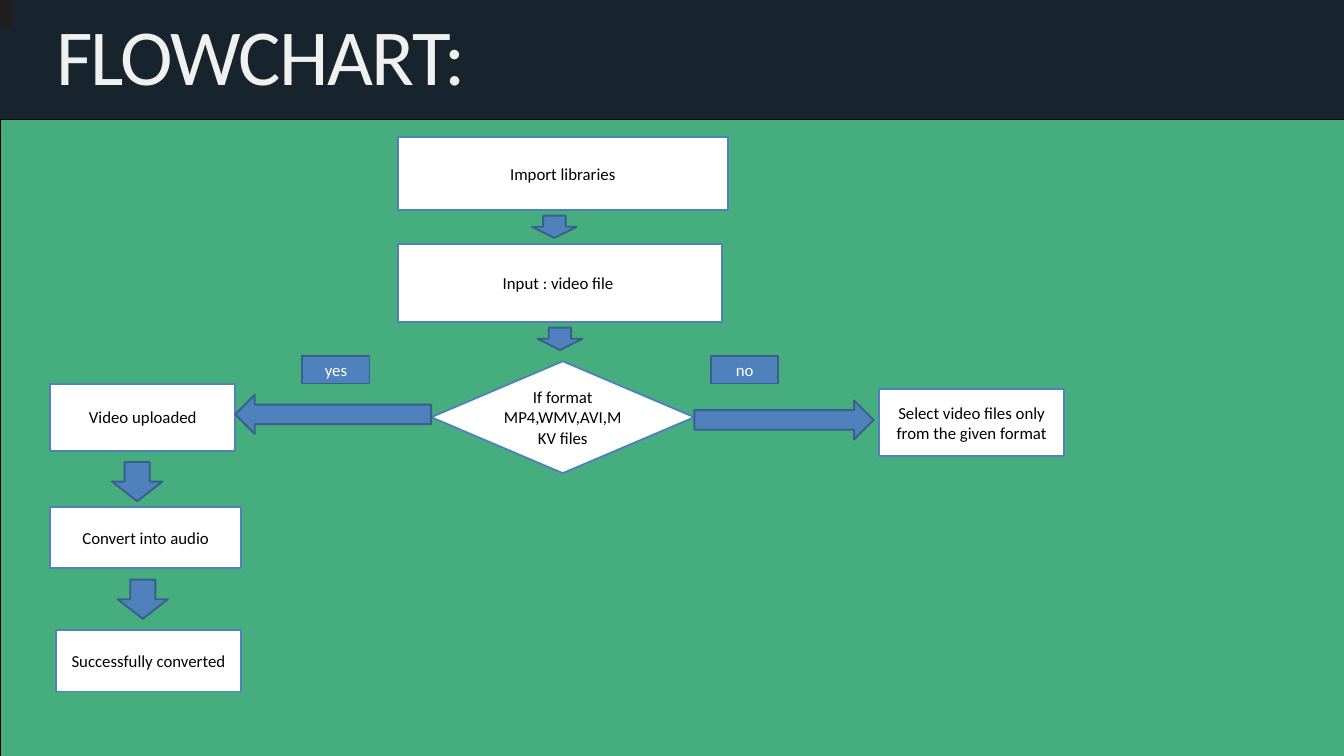
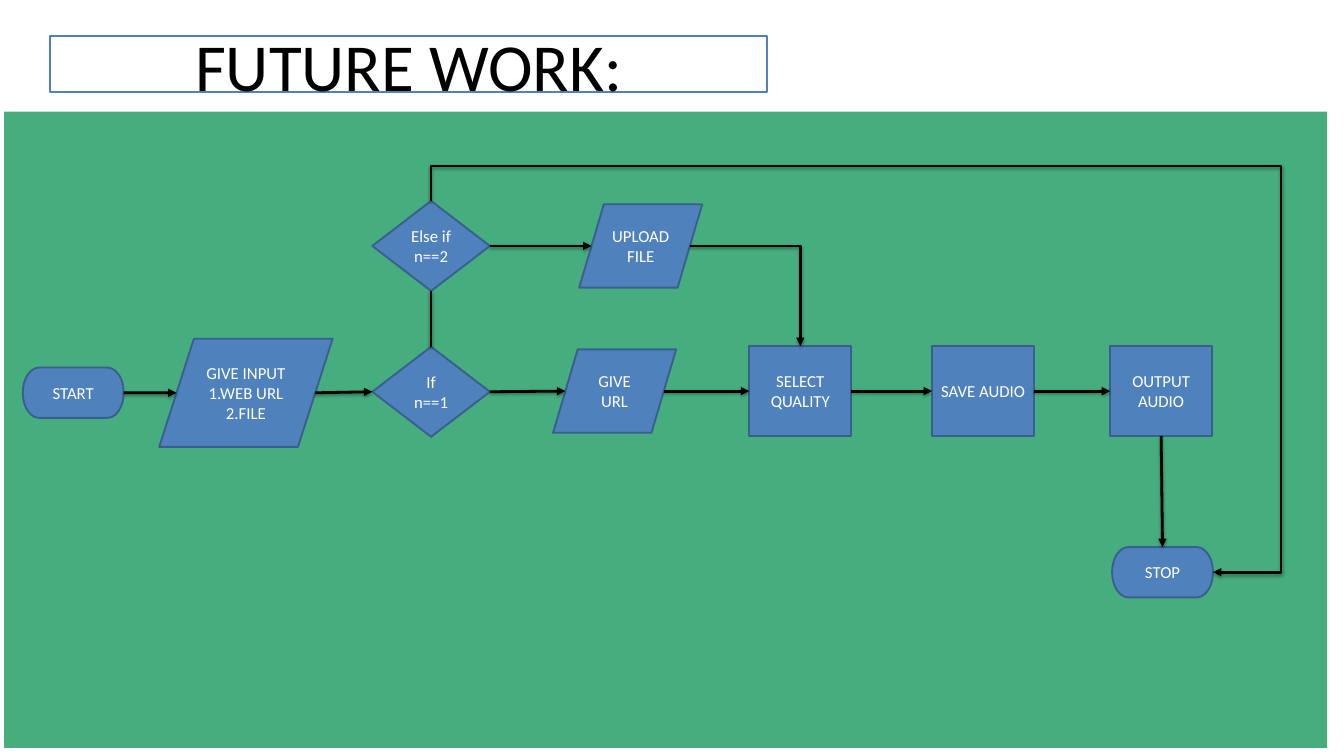
from lxml import etree
from pptx import Presentation
from pptx.dml.color import RGBColor
from pptx.enum.shapes import MSO_CONNECTOR, MSO_SHAPE
from pptx.enum.text import MSO_ANCHOR, MSO_AUTO_SIZE, PP_ALIGN
from pptx.oxml import parse_xml
from pptx.oxml.ns import nsdecls, qn
from pptx.util import Pt

RECT, DIAMOND = MSO_SHAPE.RECTANGLE, MSO_SHAPE.DIAMOND
DOWN, LEFT, RIGHT = MSO_SHAPE.DOWN_ARROW, MSO_SHAPE.LEFT_ARROW, MSO_SHAPE.RIGHT_ARROW
DATA, DECISION = MSO_SHAPE.FLOWCHART_DATA, MSO_SHAPE.FLOWCHART_DECISION
TERMINATOR = MSO_SHAPE.FLOWCHART_TERMINATOR
STRAIGHT, ELBOW = MSO_CONNECTOR.STRAIGHT, MSO_CONNECTOR.ELBOW
TOP_SITE, LEFT_SITE, BOTTOM_SITE, RIGHT_SITE = range(4)

NAVY, GREEN, WHITE, BLACK = "17242D", "45AD7E", "FFFFFF", "000000"
BLUE, DARK_BLUE, OFF_WHITE, CHARCOAL = "4F81BD", "3A5F8C", "F0F0EE", "1E1E1E"
FONT = "Calibri"

# Fill, line, line width, text colour
WHITE_BOX = (WHITE, BLUE, 2, BLACK)
BLUE_BOX = (BLUE, DARK_BLUE, 2, WHITE)

SHADOW = (
    f'<a:effectLst {nsdecls("a")}>'
    '<a:outerShdw blurRad="40000" dist="23000" dir="5400000" rotWithShape="0">'
    '<a:srgbClr val="000000"><a:alpha val="35000"/></a:srgbClr>'
    "</a:outerShdw></a:effectLst>"
)


def rgb(value):
    return RGBColor.from_string(value)


def dress(sp, box, style, text="", size=18, align=PP_ALIGN.CENTER):
    """Place a shape or title (points) and give it its style and text."""
    fill, line, width, color = style
    for name, value in zip(("left", "top", "width", "height"), box):
        setattr(sp, name, Pt(value))
    if fill:
        sp.fill.solid()
        sp.fill.fore_color.rgb = rgb(fill)
    if line:
        sp.line.color.rgb = rgb(line)
        sp.line.width = Pt(width)
    else:
        sp.line.fill.background()
    if not sp.is_placeholder:
        sp.shadow.inherit = False
    if not text:
        return sp
    tf = sp.text_frame
    frame_format = {"text": text, "word_wrap": True, "auto_size": MSO_AUTO_SIZE.NONE,
                    "vertical_anchor": MSO_ANCHOR.MIDDLE}
    for name, value in frame_format.items():
        setattr(tf, name, value)
    for p in tf.paragraphs:
        p.alignment = align
        for r in p.runs:
            for name, value in {"name": FONT, "size": Pt(size)}.items():
                setattr(r.font, name, value)
            r.font.color.rgb = rgb(color)
    return sp


prs = Presentation()
prs.slide_width, prs.slide_height = Pt(1440), Pt(810)
slides = []
for background in (NAVY, WHITE):
    s = prs.slides.add_slide(prs.slide_layouts[5])
    s.background.fill.solid()
    s.background.fill.fore_color.rgb = rgb(background)
    slides.append(s)
flow, future = slides

# Slide 1: flowchart
title = dress(flow.shapes.title, (60, 7, 598, 102), (None, None, 0, OFF_WHITE),
              "FLOWCHART:", 85, PP_ALIGN.LEFT)
tf = title.text_frame
tf.vertical_anchor = MSO_ANCHOR.TOP
for side in ("left", "top", "right", "bottom"):
    setattr(tf, f"margin_{side}", 0)
p = tf.paragraphs[0]
p.line_spacing = Pt(102)
p.runs[0]._r.get_or_add_rPr().set("spc", "-170")

flow_shapes = [
    (RECT, (0, 128, 1440, 682), (GREEN, BLACK, 0.75, BLACK), ""),
    (RECT, (426, 147, 354, 78), WHITE_BOX, "Import libraries"),
    (RECT, (426, 261, 348, 84), WHITE_BOX, "Input : video file "),
    (DIAMOND, (462, 387, 282, 120), WHITE_BOX, "If format MP4,WMV,AVI,MKV files"),
    (RECT, (942, 417, 198, 72), WHITE_BOX, "Select video files only from the given format"),
    (RECT, (54, 543, 204, 66), WHITE_BOX, "Convert into audio"),
    (RECT, (60, 675, 198, 66), WHITE_BOX, "Successfully converted"),
    (RECT, (54, 411, 198, 72), WHITE_BOX, "Video uploaded"),
    (DOWN, (570, 231, 48, 24), BLUE_BOX, ""),
    (DOWN, (576, 351, 48, 24), BLUE_BOX, ""),
    (DOWN, (120, 495, 54, 42), BLUE_BOX, ""),
    (DOWN, (126, 621, 54, 42), BLUE_BOX, ""),
    (LEFT, (252, 423, 210, 42), BLUE_BOX, ""),
    (RIGHT, (744, 429, 192, 42), BLUE_BOX, ""),
    (RECT, (324, 381, 72, 30), BLUE_BOX, "yes"),
    (RECT, (762, 381, 72, 30), BLUE_BOX, "no"),
    (RECT, (0, 0, 14.4, 28.8), (CHARCOAL, None, 0, WHITE), ""),
]
for kind, box, style, text in flow_shapes:
    dress(flow.shapes.add_shape(kind, 0, 0, 0, 0), box, style, text)

# Slide 2: future work
dress(future.shapes.title, (54, 39, 768, 60), WHITE_BOX, "FUTURE WORK:", 72)
dress(future.shapes.add_shape(RECT, 0, 0, 0, 0), (4.3, 119.5, 1417.7, 681.8),
      (GREEN, None, 0, WHITE))

steps = {
    "input": (DATA, (170.6, 362.9, 185.8, 115.9), "GIVE INPUT\n1.WEB URL\n2.FILE"),
    "url": (DATA, (592.6, 374.4, 131.8, 89.3), "GIVE URL"),
    "upload": (DATA, (620.6, 218.9, 131.8, 89.3), "UPLOAD FILE"),
    "start": (TERMINATOR, (24.5, 393.8, 108, 54), "START"),
    "stop": (TERMINATOR, (1191.6, 586.1, 108, 54), "STOP"),
    "if": (DECISION, (398.9, 371.5, 126, 96.5), "If n==1"),
    "else if": (DECISION, (398.9, 215.3, 126, 96.5), "Else if n==2"),
    "select": (RECT, (802.8, 370.8, 109.4, 96.5), "SELECT QUALITY"),
    "save": (RECT, (998.6, 370.8, 109.4, 96.5), "SAVE AUDIO"),
    "output": (RECT, (1189.4, 370.8, 109.4, 96.5), "OUTPUT AUDIO"),
}
nodes = {}
for name, (kind, box, text) in steps.items():
    nodes[name] = dress(future.shapes.add_shape(kind, 0, 0, 0, 0), box, BLUE_BOX, text)

connectors = []
chain = ["start", "input", "if", "url", "select", "save", "output"]
for a, b in list(zip(chain, chain[1:])) + [("else if", "upload")]:
    a, b = nodes[a], nodes[b]
    # The slanted side of a data shape is a tenth of the width inside its box
    a_inset = a.width // 10 if a.auto_shape_type == DATA else 0
    b_inset = b.width // 10 if b.auto_shape_type == DATA else 0
    c = future.shapes.add_connector(
        STRAIGHT, a.left + a.width - a_inset, a.top + a.height // 2,
        b.left + b_inset, b.top + b.height // 2)
    if not a_inset:
        c.begin_connect(a, RIGHT_SITE)
    if not b_inset:
        c.end_connect(b, LEFT_SITE)
    connectors.append(c)

for a, a_site, b, b_site in (("output", BOTTOM_SITE, "stop", TOP_SITE),
                             ("if", TOP_SITE, "else if", BOTTOM_SITE)):
    c = future.shapes.add_connector(STRAIGHT, 0, 0, 0, 0)
    c.begin_connect(nodes[a], a_site)
    c.end_connect(nodes[b], b_site)
    connectors.append(c)
plain_line = connectors[-1]

upload, select = nodes["upload"], nodes["select"]
c = future.shapes.add_connector(
    ELBOW, upload.left + upload.width * 9 // 10, upload.top + upload.height // 2,
    select.left + select.width // 2, select.top)
c._element.spPr.find(qn("a:prstGeom")).set("prst", "bentConnector2")
connectors.append(c)

# The return route leaves upwards, so its box is turned by 270 degrees
else_if, stop = nodes["else if"], nodes["stop"]
x1, y1 = else_if.left + else_if.width // 2, else_if.top
x2, y2 = stop.left + stop.width, stop.top + stop.height // 2
mid_x, mid_y = (x1 + x2) // 2, (y1 + y2) // 2
half_w, half_h = (y2 - y1) // 2, (x2 - x1) // 2
c = future.shapes.add_connector(ELBOW, mid_x + half_w, mid_y - half_h,
                                mid_x - half_w, mid_y + half_h)
c._element.spPr.find(qn("a:xfrm")).set("rot", "16200000")
geometry = c._element.spPr.find(qn("a:prstGeom"))
geometry.set("prst", "bentConnector4")
guides = geometry.find(qn("a:avLst"))
if guides is None:
    guides = etree.SubElement(geometry, qn("a:avLst"))
for name, value in (("adj1", -9400), ("adj2", 108700)):
    etree.SubElement(guides, qn("a:gd"), name=name, fmla=f"val {value}")
connectors.append(c)

for c in connectors:
    c.line.color.rgb = rgb(BLACK)
    c.line.width = Pt(3)
    if c is not plain_line:
        etree.SubElement(c.line._get_or_add_ln(), qn("a:tailEnd"), type="triangle")
    c._element.spPr.append(parse_xml(SHADOW))

prs.save("out.pptx")
